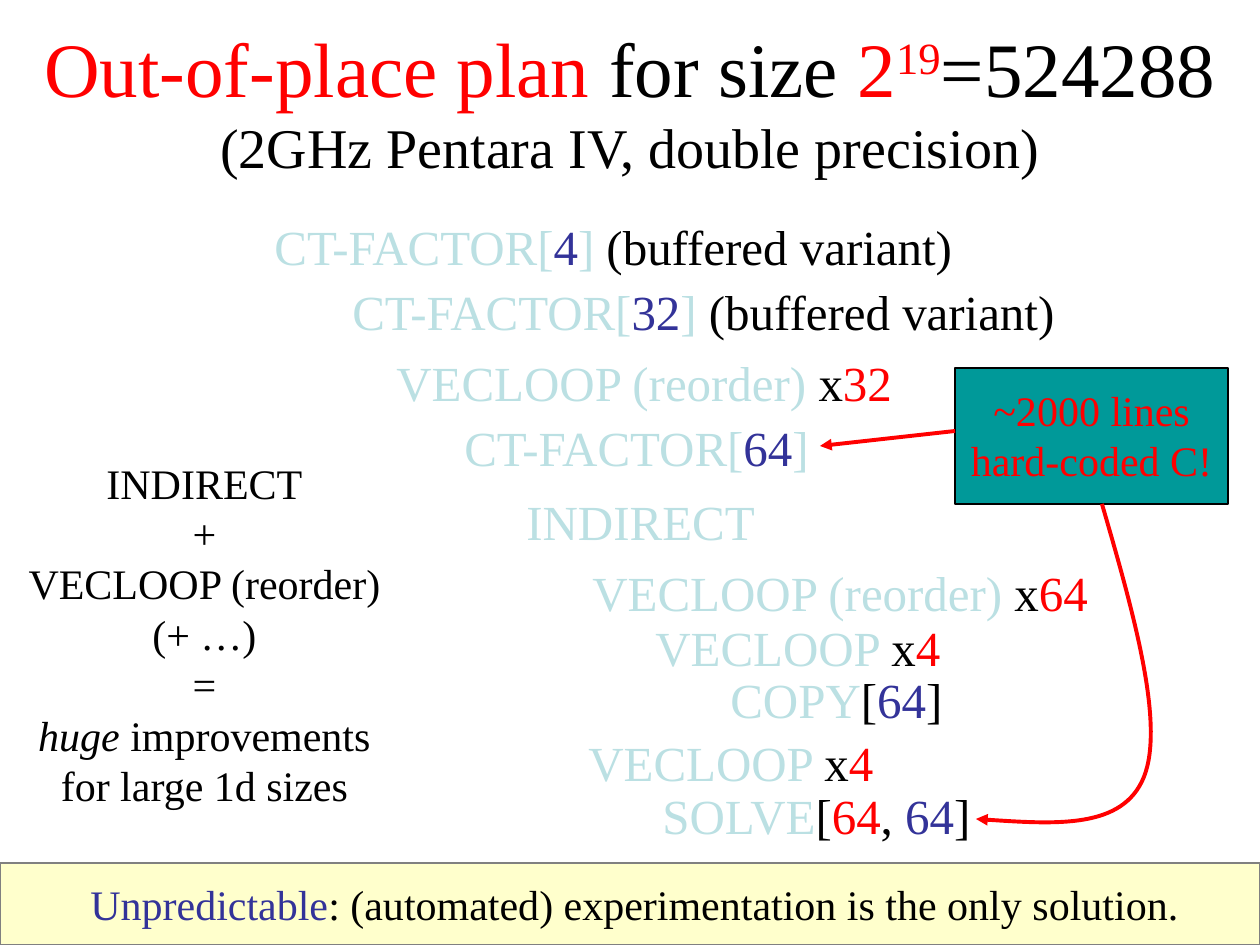
import pptx
import pptx.util
import pptx.dml.color
import pptx.enum.shapes
import pptx.enum.text
import pptx.oxml
import pptx.oxml.ns

PX = 914400 / 126
FONT = "Times New Roman"
COLORS = {
    "black": "000000", "red": "FF0000", "pale": "BBE0E3", "blue": "333399",
    "teal": "009999", "cream": "FFFFCC", "gray": "808080",
}
LEFT = pptx.enum.text.PP_ALIGN.LEFT
CENTER = pptx.enum.text.PP_ALIGN.CENTER


def px(length):
    return pptx.util.Emu(round(length * PX))


def rgb(name):
    return pptx.dml.color.RGBColor.from_string(COLORS[name])


def add_text(slide, box, lines, size, align=CENTER, wrap=False):
    """Each line is a list of (text, color) or (text, color, style) runs."""
    shape = slide.shapes.add_textbox(*map(px, box))
    frame = shape.text_frame
    frame.word_wrap = wrap
    for index, runs in enumerate(lines):
        paragraph = frame.paragraphs[0] if index == 0 else frame.add_paragraph()
        paragraph.alignment = align
        paragraph.font.name = FONT
        paragraph.font.size = pptx.util.Pt(size)
        for text, color, *style in runs:
            run = paragraph.add_run()
            run.text = text
            run.font.color.rgb = rgb(color)
            if "italic" in style:
                run.font.italic = True
            if "superscript" in style:
                run._r.get_or_add_rPr().set("baseline", "30000")
    return shape


def add_panel(slide, box, fill, line):
    shape = slide.shapes.add_shape(
        pptx.enum.shapes.MSO_SHAPE.RECTANGLE, *map(px, box))
    shape.shadow.inherit = False
    shape.fill.solid()
    shape.fill.fore_color.rgb = rgb(fill)
    shape.line.color.rgb = rgb(line)
    shape.line.width = pptx.util.Pt(0.75)


def style_arrow(shape):
    shape.line.color.rgb = rgb("red")
    shape.line.width = pptx.util.Pt(2.25)
    line = shape.line._get_or_add_ln()
    line.append(pptx.oxml.parse_xml(
        f'<a:tailEnd {pptx.oxml.ns.nsdecls("a")} type="triangle"/>'))


def add_straight_arrow(slide, start, end):
    connector = slide.shapes.add_connector(
        pptx.enum.shapes.MSO_CONNECTOR.STRAIGHT, *map(px, start + end))
    style_arrow(connector)
    connector._element.spPr.append(pptx.oxml.parse_xml(
        f'<a:effectLst {pptx.oxml.ns.nsdecls("a")}/>'))


def add_curved_arrow(slide, start, controls):
    """Draw cubic curves; every three control points make one curve."""
    builder = slide.shapes.build_freeform(*start, scale=PX)
    builder.add_line_segments(controls, close=False)
    shape = builder.convert_to_shape()
    shape.shadow.inherit = False
    shape.fill.background()
    style_arrow(shape)
    qn = pptx.oxml.ns.qn
    outline = next(shape._element.iter(qn("a:path")))
    segments = outline.findall(qn("a:lnTo"))
    for first in range(0, len(segments), 3):
        curve = outline.makeelement(qn("a:cubicBezTo"), {})
        outline.append(curve)
        for segment in segments[first:first + 3]:
            curve.append(segment[0])
            outline.remove(segment)


def add_title(slide, left, top, width, height):
    heading = [("Out-of-place plan", "red"), (" for size ", "black"),
               ("2", "red"), ("19", "red", "superscript"),
               ("=524288", "black")]
    subtitle = [("(2GHz Pentara IV, double precision)", "black")]
    shape = add_text(slide, (left, top, width, height),
                     [heading, subtitle], 44, wrap=True)
    shape.text_frame.vertical_anchor = pptx.enum.text.MSO_ANCHOR.MIDDLE
    shape.text_frame.paragraphs[1].font.size = pptx.util.Pt(32)


def add_plan(slide, left, top):
    def factor(radix):
        return [("CT-FACTOR[", "pale"), (radix, "blue"), ("]", "pale")]

    def loop(name, count):
        return [(name + " ", "pale"), ("x", "black"), (count, "red")]

    buffered = [(" (buffered variant)", "black")]
    reorder = "VECLOOP (reorder)"
    steps = [
        (0, 0, 714, factor("4") + buffered),
        (78, 65, 738, factor("32") + buffered),
        (122, 136, 523, loop(reorder, "32")),
        (190, 201, 379, factor("64")),
        (252, 275, 255, [("INDIRECT", "pale")]),
        (318, 346, 523, loop(reorder, "64")),
        (381, 401, 312, loop("VECLOOP", "4")),
        (456, 453, 238, [("COPY", "pale"), ("[", "black"),
                         ("64", "blue"), ("]", "black")]),
        (314, 516, 312, loop("VECLOOP", "4")),
        (388, 569, 339, [("SOLVE", "pale"), ("[", "black"), ("64", "red"),
                         (", ", "black"), ("64", "blue"), ("]", "black")]),
    ]
    for indent, drop, width, runs in steps:
        add_text(slide, (left + indent, top + drop, width, 72),
                 [runs], 28, align=LEFT)


def add_summary(slide, left, top, width, height):
    plain = ["INDIRECT", "+", "VECLOOP (reorder)", "(+ …)", "="]
    lines = [[(text, "black")] for text in plain]
    lines.append([("huge", "black", "italic"), (" improvements", "black")])
    lines.append([("for large 1d sizes", "black")])
    add_text(slide, (left, top, width, height), lines, 24)


def add_conclusion(slide, left, top, width, height):
    add_panel(slide, (left, top, width, height), "cream", "gray")
    add_text(slide, (left + 31, top + 9, width - 53, height - 19),
             [[("Unpredictable", "blue"),
               (": (automated) experimentation is the only solution.", "black")]],
             24, wrap=True)


def add_callout(slide, left, top, width, height):
    add_panel(slide, (left, top, width, height), "teal", "black")
    add_text(slide, (left, top + 10, width, height - 23),
             [[("~2000 lines", "red")], [("hard-coded C!", "red")]], 24)
    add_straight_arrow(slide, (left, top + 63), (left - 135, top + 78))
    bottom = top + height
    offsets = [(179, 110), (210, 220), (189, 273),
               (168, 325), (95, 320), (21, 315)]
    add_curved_arrow(slide, (left + 147, bottom),
                     [(left + x, bottom + y) for x, y in offsets])


def main():
    presentation = pptx.Presentation()
    presentation.slide_width = px(1260)
    presentation.slide_height = px(945)
    slide = presentation.slides.add_slide(presentation.slide_layouts[6])
    add_title(slide, 0, 21, 1260, 158)
    add_plan(slide, 262, 210)
    add_conclusion(slide, 0, 863, 1260, 82)
    add_summary(slide, 15, 451, 379, 365)
    add_callout(slide, 955, 368, 273, 136)
    presentation.save("out.pptx")


if __name__ == "__main__":
    main()
